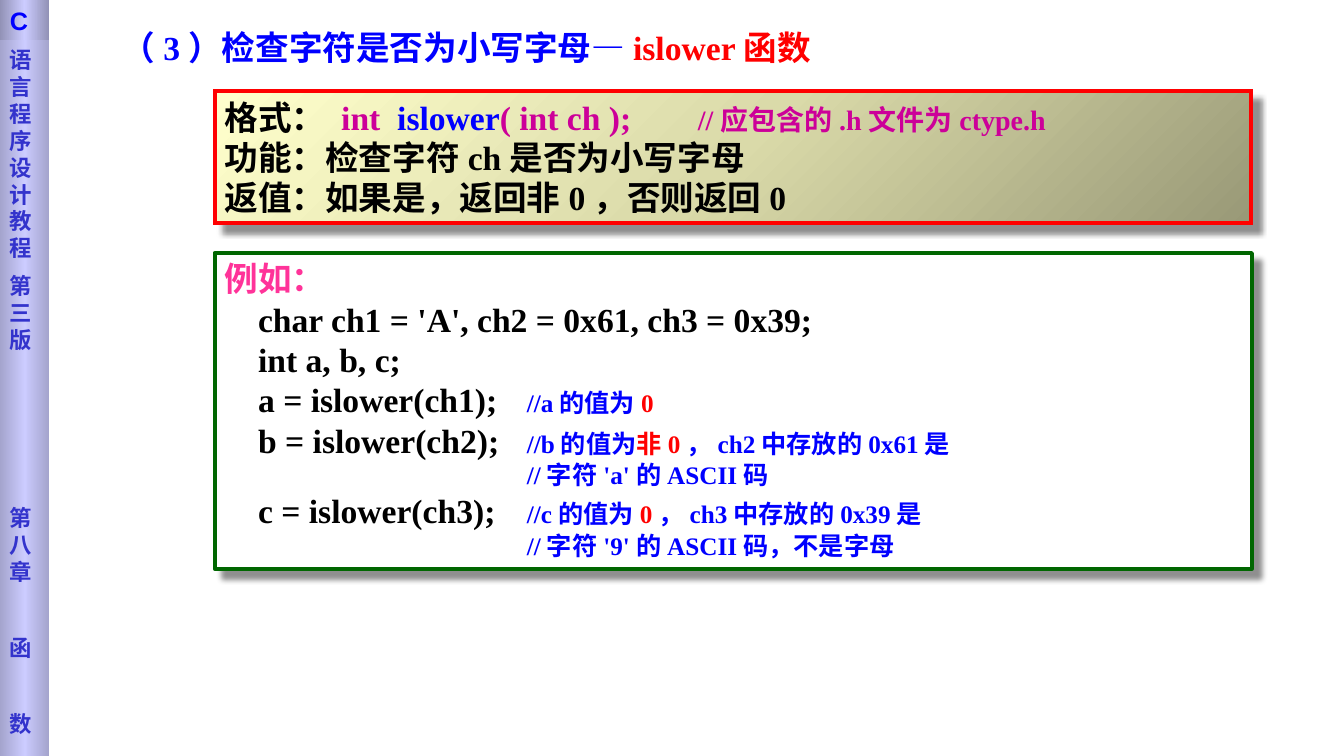
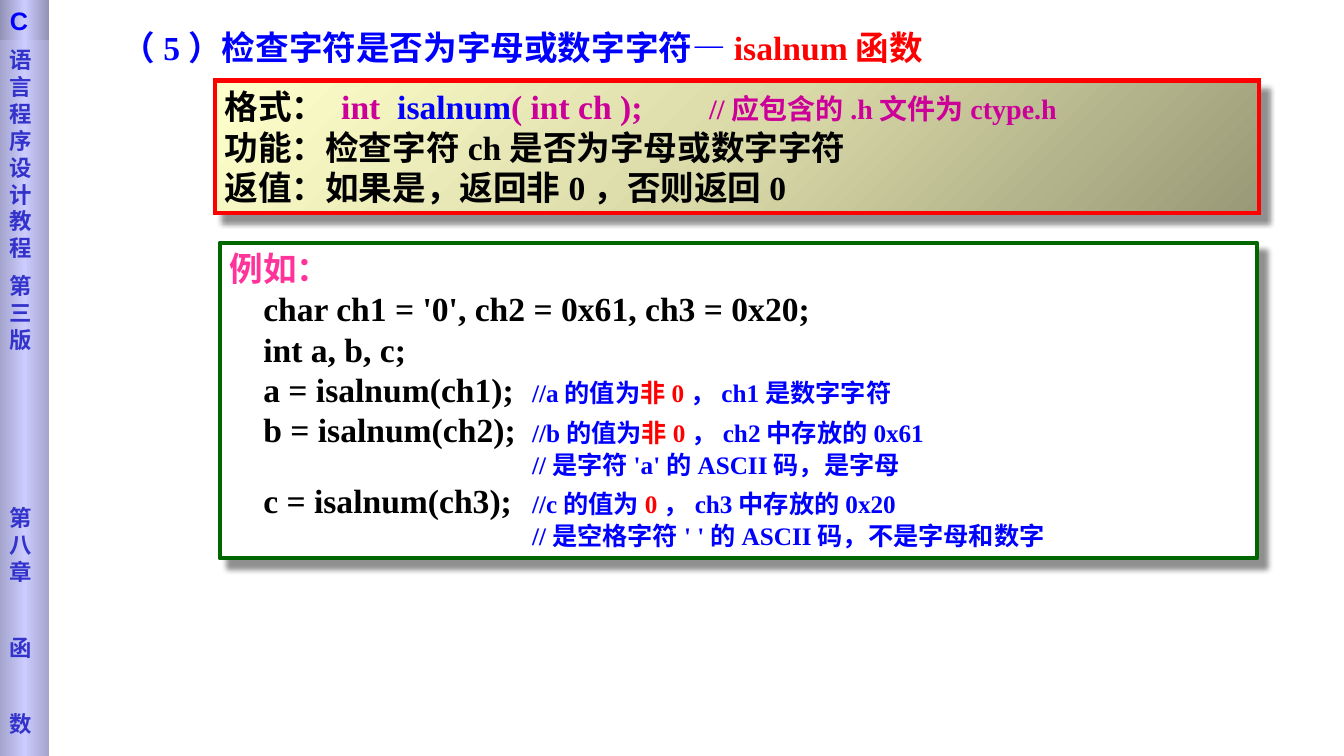
"""Build two C language course slides about character test functions."""
from dataclasses import dataclass
from itertools import cycle

from pptx import Presentation
from pptx.dml.color import RGBColor
from pptx.enum.lang import MSO_LANGUAGE_ID as Lang
from pptx.enum.shapes import MSO_SHAPE as Preset
from pptx.enum.text import MSO_ANCHOR as Anchor, MSO_AUTO_SIZE as AutoSize, PP_ALIGN as Align
from pptx.oxml import parse_xml
from pptx.oxml.ns import nsdecls, qn
from pptx.util import Cm, Pt


@dataclass(frozen=True)
class Theme:
    serif: str = "Times New Roman"
    sans: str = "Arial"
    side_font: str = "DejaVu Sans"
    body: int = 24
    header_note: int = 20
    note: int = 18
    initial: int = 18
    side: int = 16
    border: int = 3
    black: str = "000000"
    white: str = "FFFFFF"
    blue: str = "0000FF"
    red: str = "FF0000"
    green: str = "006600"
    pink: str = "FF3399"
    magenta: str = "CC0099"
    side_text: str = "3333CC"
    side_fill: tuple = ("A4A4CD", "CCCCFF", "A4A4CD")
    initial_fill: tuple = ("9292B6", "CCCCFF", "9292B6")
    format_fill: tuple = ("999977", "DADAA9", "FFFFCC")


def element(tag, attributes="", inner=""):
    return parse_xml(f"<a:{tag} {nsdecls('a')} {attributes}>{inner}</a:{tag}>")


def add_span(para, text, *, size, color, font):
    span = para.add_run()
    span.text = text
    span.font.size = Pt(size)
    span.font.bold = True
    span.font.name = font
    span.font.color.rgb = RGBColor.from_string(color)
    span.font.language_id = Lang.SIMPLIFIED_CHINESE


class CourseDeck:
    def __init__(self, theme):
        self.theme = theme
        self.deck = Presentation()
        self.deck.slide_width = Cm(33.87)
        self.deck.slide_height = Cm(19.05)
        self.page = None

    def add_page(self):
        self.page = self.deck.slides.add_slide(self.deck.slide_layouts[6])
        self.add_sidebar()

    def set_rows(self, box, rows, *, font=None, tabs=(), gaps=(), anchor=Anchor.TOP):
        frame = box.text_frame
        frame.word_wrap = True
        frame.auto_size = AutoSize.NONE
        frame.vertical_anchor = anchor
        for index, row in enumerate(rows):
            para = frame.add_paragraph() if index else frame.paragraphs[0]
            if tabs:
                stops = "".join(f'<a:tab pos="{Cm(stop)}" algn="l"/>' for stop in tabs)
                para._p.get_or_add_pPr().append(element("tabLst", inner=stops))
            para.alignment = Align.LEFT
            if index and gaps:
                para.space_before = Pt(gaps[index - 1])
            for text, color, size in row:
                add_span(para, text, size=size, color=color, font=font or self.theme.serif)

    def add_box(self, left, top, width, height, *, fill, angle=0, line=None):
        box = self.page.shapes.add_shape(
            Preset.RECTANGLE, Cm(left), Cm(top), Cm(width), Cm(height))
        box.shadow.inherit = False
        properties = box._element.spPr
        if isinstance(fill, tuple):
            stops = "".join(
                f'<a:gs pos="{index * 50000}"><a:srgbClr val="{color}"/></a:gs>'
                for index, color in enumerate(fill))
            inner = f'<a:gsLst>{stops}</a:gsLst><a:lin ang="{angle * 60000}" scaled="0"/>'
            properties.insert(2, element("gradFill", 'rotWithShape="1"', inner))
        else:
            box.fill.solid()
            box.fill.fore_color.rgb = RGBColor.from_string(fill)
        if line is None:
            box.line.fill.background()
            return box
        box.line.color.rgb = RGBColor.from_string(line)
        box.line.width = Pt(self.theme.border)
        properties.find(qn("a:effectLst")).append(element(
            "outerShdw",
            f'blurRad="{Pt(4)}" dist="{Pt(8.4)}" dir="2700000" algn="tl" rotWithShape="0"',
            f'<a:srgbClr val="{self.theme.black}"><a:alpha val="43000"/></a:srgbClr>'))
        return box

    def add_sidebar(self):
        theme = self.theme
        band = self.add_box(0, 0, 1.24, 19.05, fill=theme.side_fill)
        band.text_frame.margin_top = Cm(1.17)
        words = ("语言程序设计教程", "第三版", "第八章", "函", "数")
        self.set_rows(band, [[(word, theme.side_text, theme.side)] for word in words],
                      font=theme.side_font, gaps=(8, 108, 35, 35))
        initial = self.add_box(0, 0, 1.24, 1.02, fill=theme.initial_fill)
        self.set_rows(initial, [[("C", theme.blue, theme.initial)]],
                      font=theme.sans, anchor=Anchor.MIDDLE)

    def add_title(self, lead, function, width):
        theme = self.theme
        box = self.page.shapes.add_textbox(Cm(2.82), Cm(0.56), Cm(width), Cm(1.27))
        self.set_rows(box, [[(lead, theme.blue, theme.body),
                             (f"{function}函数", theme.red, theme.body)]])

    def add_format(self, function, purpose, *, top, width, note_tab):
        theme = self.theme
        size = theme.body
        box = self.add_box(5.41, top, width, 3.33, fill=theme.format_fill,
                           angle=225, line=theme.red)
        box._element.spPr.find(qn("a:ln")).append(element("miter", 'lim="800000"'))
        rows = [
            [("格式：\t", theme.black, size), ("int  ", theme.magenta, size),
             (function, theme.blue, size), ("( int ch );\t", theme.magenta, size),
             ("//应包含的.h文件为ctype.h", theme.magenta, theme.header_note)],
            [(f"功能：{purpose}", theme.black, size)],
            [("返值：如果是，返回非0，否则返回0", theme.black, size)],
        ]
        self.set_rows(box, rows, tabs=(2.94, note_tab), anchor=Anchor.MIDDLE)

    def add_example(self, lines, *, left, top):
        theme = self.theme
        box = self.add_box(left, top, 26.14, 7.95, fill=theme.white, line=theme.green)
        rows = [[("例如：", theme.pink, theme.body)]]
        for code, *notes in lines:
            row = [(f"    {code}", theme.black, theme.body)] if code else []
            if notes:
                row.append(("\t", theme.blue, theme.note))
            row += [(note, color, theme.note)
                    for note, color in zip(notes, cycle((theme.blue, theme.red)))]
            rows.append(row)
        self.set_rows(box, rows, tabs=(7.62,))


def main():
    course = CourseDeck(Theme())

    course.add_page()
    course.add_title("（3）检查字符是否为小写字母—", "islower", 19.41)
    course.add_format("islower", "检查字符ch是否为小写字母",
                      top=2.29, width=26.11, note_tab=11.93)
    course.add_example([
        ("char ch1 = 'A', ch2 = 0x61, ch3 = 0x39;",),
        ("int a, b, c;",),
        ("a = islower(ch1);", "//a的值为", "0"),
        ("b = islower(ch2);", "//b的值为", "非0", "，ch2中存放的0x61是"),
        ("", "//字符'a'的ASCII码"),
        ("c = islower(ch3);", "//c的值为", "0", "，ch3中存放的0x39是"),
        ("", "//字符'9'的ASCII码，不是字母"),
    ], left=5.41, top=6.38)

    course.add_page()
    course.add_title("（5）检查字符是否为字母或数字字符—", "isalnum", 21.77)
    course.add_format("isalnum", "检查字符ch是否为字母或数字字符",
                      top=2.03, width=26.31, note_tab=12.21)
    course.add_example([
        ("char ch1 = '0', ch2 = 0x61, ch3 = 0x20;",),
        ("int a, b, c;",),
        ("a = isalnum(ch1);", "//a的值为", "非0", "，ch1是数字字符"),
        ("b = isalnum(ch2);", "//b的值为", "非0", "，ch2中存放的0x61"),
        ("", "//是字符'a'的ASCII码，是字母"),
        ("c = isalnum(ch3);", "//c的值为", "0", "，ch3中存放的0x20"),
        ("", "//是空格字符' '的ASCII码，不是字母和数字"),
    ], left=5.54, top=6.12)

    course.deck.save("out.pptx")


if __name__ == "__main__":
    main()
